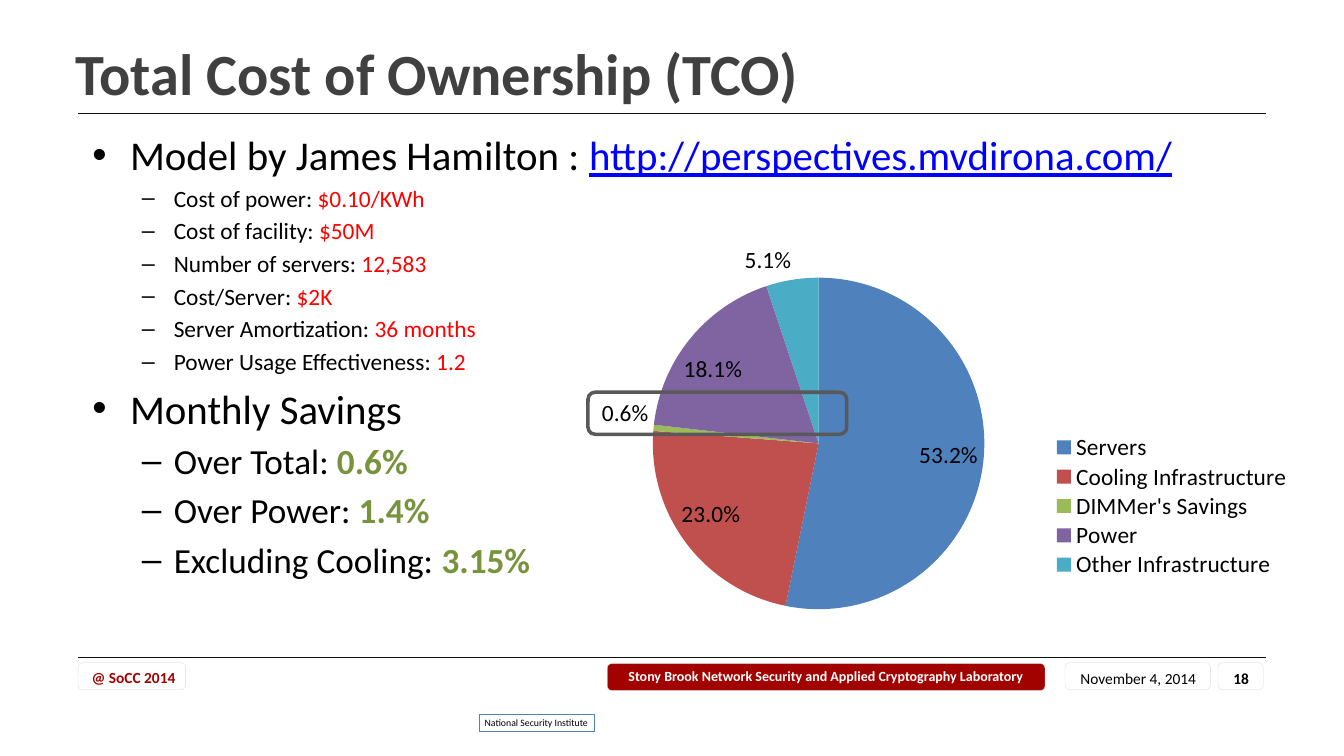
from lxml.etree import SubElement
from pptx import Presentation
from pptx.chart.data import CategoryChartData
from pptx.dml.color import RGBColor
from pptx.enum.chart import XL_CHART_TYPE, XL_LABEL_POSITION, XL_LEGEND_POSITION
from pptx.enum.shapes import MSO_CONNECTOR, MSO_SHAPE
from pptx.enum.text import MSO_ANCHOR, PP_ALIGN
from pptx.oxml import parse_xml
from pptx.oxml.ns import nsdecls, qn
from pptx.util import Inches, Pt

FONT = "Calibri"
COLORS = {
    "black": "000000", "white": "FFFFFF", "title": "404040", "rule": "0D0D0D",
    "border": "D9D9D9", "crimson": "A10200", "red": "FF0000", "green": "77933C",
    "link": "0000FF", "blue": "4F81BD", "brick": "C0504D", "lime": "9BBB59",
    "purple": "8064A2", "aqua": "4BACC6", "highlight": "595959",
}
LEVELS = {0: ("•", 0.45, -0.45), 1: ("–", 0.97, -0.38)}
INPUTS = [
    ("Cost of power: ", "$0.10/KWh"),
    ("Cost of facility: ", "$50M"),
    ("Number of servers: ", "12,583"),
    ("Cost/Server: ", "$2K"),
    ("Server Amortization: ", "36 months"),
    ("Power Usage Effectiveness: ", "1.2"),
]
SAVINGS = [
    ("Over Total: ", "0.6%"),
    ("Over Power: ", "1.4%"),
    ("Excluding Cooling: ", "3.15%"),
]
COSTS = [
    ("Servers", 53.2, "blue", XL_LABEL_POSITION.BEST_FIT),
    ("Cooling Infrastructure", 23.0, "brick", XL_LABEL_POSITION.BEST_FIT),
    ("DIMMer's Savings", 0.6, "lime", XL_LABEL_POSITION.OUTSIDE_END),
    ("Power", 18.1, "purple", XL_LABEL_POSITION.BEST_FIT),
    ("Other Infrastructure", 5.1, "aqua", XL_LABEL_POSITION.OUTSIDE_END),
]


def rgb(name):
    return RGBColor.from_string(COLORS[name])


def style_font(font, size, color, bold=False):
    font.name = FONT
    font.size = Pt(size)
    font.bold = bold
    font.color.rgb = rgb(color)


def add_run(paragraph, text, size, color="black", bold=False):
    run = paragraph.add_run()
    run.text = text
    style_font(run.font, size, color, bold)
    return run


def set_insets(frame, horizontal, vertical):
    frame.word_wrap = True
    frame.margin_left = frame.margin_right = Inches(horizontal)
    frame.margin_top = frame.margin_bottom = Inches(vertical)


def add_text_box(slide, box, horizontal=0.1, vertical=0.05):
    frame = slide.shapes.add_textbox(*map(Inches, box)).text_frame
    set_insets(frame, horizontal, vertical)
    return frame


def add_footer_text(slide, box, text, size, color, bold, align=PP_ALIGN.CENTER):
    paragraph = add_text_box(slide, box, 0.16, 0.08).paragraphs[0]
    paragraph.alignment = align
    add_run(paragraph, text, size, color, bold)


def add_box(slide, kind, box, line, width, fill=None):
    shape = slide.shapes.add_shape(kind, *map(Inches, box))
    shape.shadow.inherit = False
    if fill:
        shape.fill.solid()
        shape.fill.fore_color.rgb = rgb(fill)
    else:
        shape.fill.background()
    shape.line.color.rgb = rgb(line)
    shape.line.width = Pt(width)
    return shape


def add_rule(slide, top):
    rule = slide.shapes.add_connector(
        MSO_CONNECTOR.STRAIGHT, Inches(0.93), Inches(top), Inches(15.07), Inches(top))
    rule.line.color.rgb = rgb("rule")
    rule.line.width = Pt(0.75)
    SubElement(rule._element.spPr, qn("a:effectLst"))


def add_bullet(frame, level, size, text):
    paragraph = frame.paragraphs[0]
    if paragraph.runs:
        paragraph = frame.add_paragraph()
    character, margin, indent = LEVELS[level]
    paragraph.level = level
    paragraph.space_before = Pt(round(size * 0.2, 1))
    properties = paragraph._p.get_or_add_pPr()
    properties.set("marL", str(Inches(margin)))
    properties.set("indent", str(Inches(indent)))
    SubElement(properties, qn("a:buFont")).set("typeface", "Arial")
    SubElement(properties, qn("a:buChar")).set("char", character)
    add_run(paragraph, text, size)
    return paragraph


def manual_layout(target, **values):
    fields = "".join(f'<c:{key} val="{value}"/>' for key, value in values.items())
    return parse_xml(
        f'<c:layout {nsdecls("c")}><c:manualLayout>'
        f'{target}{fields}</c:manualLayout></c:layout>')


def add_cost_chart(slide):
    data = CategoryChartData(number_format='0.0"%"')
    data.categories = [name for name, *_ in COSTS]
    data.add_series("Monthly cost", [value for _, value, *_ in COSTS])
    chart = slide.shapes.add_chart(
        XL_CHART_TYPE.PIE, *map(Inches, (7, 2.53, 8.58, 5.14)), data).chart
    chart.has_title = False
    style_font(chart.font, 20, "black")
    chart.has_legend = True
    legend = chart.legend
    legend.position = XL_LEGEND_POSITION.RIGHT
    legend.include_in_layout = False
    style_font(legend.font, 20, "black")
    legend._element.find(qn("c:legendPos")).addnext(manual_layout(
        "", xMode="edge", yMode="edge", x=0.64, y=0.51, w=0.34, h=0.34))

    plot = chart.plots[0]
    plot.vary_by_categories = True
    plot_area = plot._element.getparent()
    for layout in plot_area.findall(qn("c:layout")):
        plot_area.remove(layout)
    plot_area.insert(0, manual_layout(
        '<c:layoutTarget val="inner"/>',
        xMode="edge", yMode="edge", x=0.09, y=0.15, w=0.46, h=0.77))

    series = plot.series[0]
    labels = series.data_labels
    labels.show_value = True
    labels.number_format = '0.0"%"'
    labels.number_format_is_linked = False
    style_font(labels.font, 20, "black")
    for index, (_, _, color, position) in enumerate(COSTS):
        point = series.points[index]
        point.format.fill.solid()
        point.format.fill.fore_color.rgb = rgb(color)
        style_font(point.data_label.font, 20, "black")
        point.data_label.position = position


def add_footer(slide):
    rounded = MSO_SHAPE.ROUNDED_RECTANGLE
    for left, width in ((12.68, 1.73), (14.5, 0.54), (0.93, 1.28)):
        add_box(slide, rounded, (left, 7.89, width, 0.32), "border", 0.25)
    add_box(slide, rounded, (7.23, 7.9, 5.21, 0.32), "border", 0.25, "crimson")
    add_footer_text(slide, (14.44, 7.88, 0.67, 0.38), "18", 13.2, "black", True)
    add_footer_text(slide, (12.62, 7.88, 1.86, 0.38), "November 4, 2014", 13.2, "black", False)
    add_footer_text(slide, (0.93, 7.87, 1.65, 0.38), "@ SoCC 2014", 13.2, "crimson", True,
                    PP_ALIGN.LEFT)
    add_footer_text(slide, (7.15, 7.87, 5.37, 0.36),
                    "Stony Brook Network Security and Applied Cryptography Laboratory",
                    12, "white", True)
    institute = add_box(slide, MSO_SHAPE.RECTANGLE, (5.7, 8.5, 1.37, 0.21), "blue", 0.25, "white")
    set_insets(institute.text_frame, 0.04, 0.04)
    paragraph = institute.text_frame.paragraphs[0]
    paragraph.alignment = PP_ALIGN.CENTER
    add_run(paragraph, "National Security Institute", 8.4)


def add_body(slide):
    frame = add_text_box(slide, (1, 1.5, 14.08, 6.08))
    paragraph = add_bullet(frame, 0, 35, "Model by James Hamilton : ")
    address = add_run(paragraph, "http://perspectives.mvdirona.com/", 35, "link")
    address.font.underline = True
    for label, value in INPUTS:
        add_run(add_bullet(frame, 1, 20, label), value, 20, "red")
    add_bullet(frame, 0, 35, "Monthly Savings")
    for label, value in SAVINGS:
        add_run(add_bullet(frame, 1, 30.2, label), value, 30.2, "green", True)


def main():
    presentation = Presentation()
    presentation.slide_width = Inches(16)
    presentation.slide_height = Inches(9)
    slide = presentation.slides.add_slide(presentation.slide_layouts[6])
    for top in (1.35, 7.83):
        add_rule(slide, top)
    add_footer(slide)
    title = add_text_box(slide, (0.8, 0.24, 14.27, 1.24))
    title.vertical_anchor = MSO_ANCHOR.MIDDLE
    add_run(title.paragraphs[0], "Total Cost of Ownership (TCO)", 50, "title", True)
    add_body(slide)
    add_cost_chart(slide)
    add_box(slide, MSO_SHAPE.ROUNDED_RECTANGLE, (7, 4.67, 3.08, 0.5), "highlight", 3)
    presentation.save("out.pptx")


if __name__ == "__main__":
    main()
